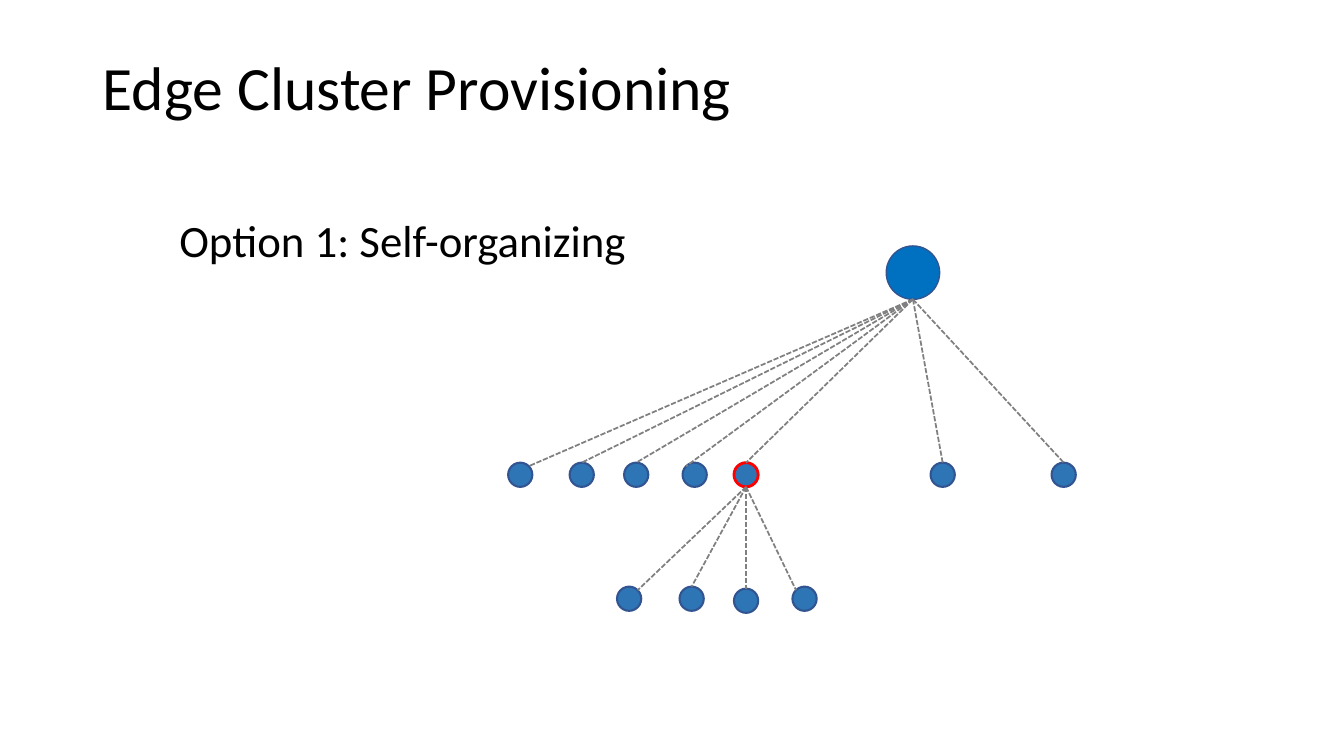
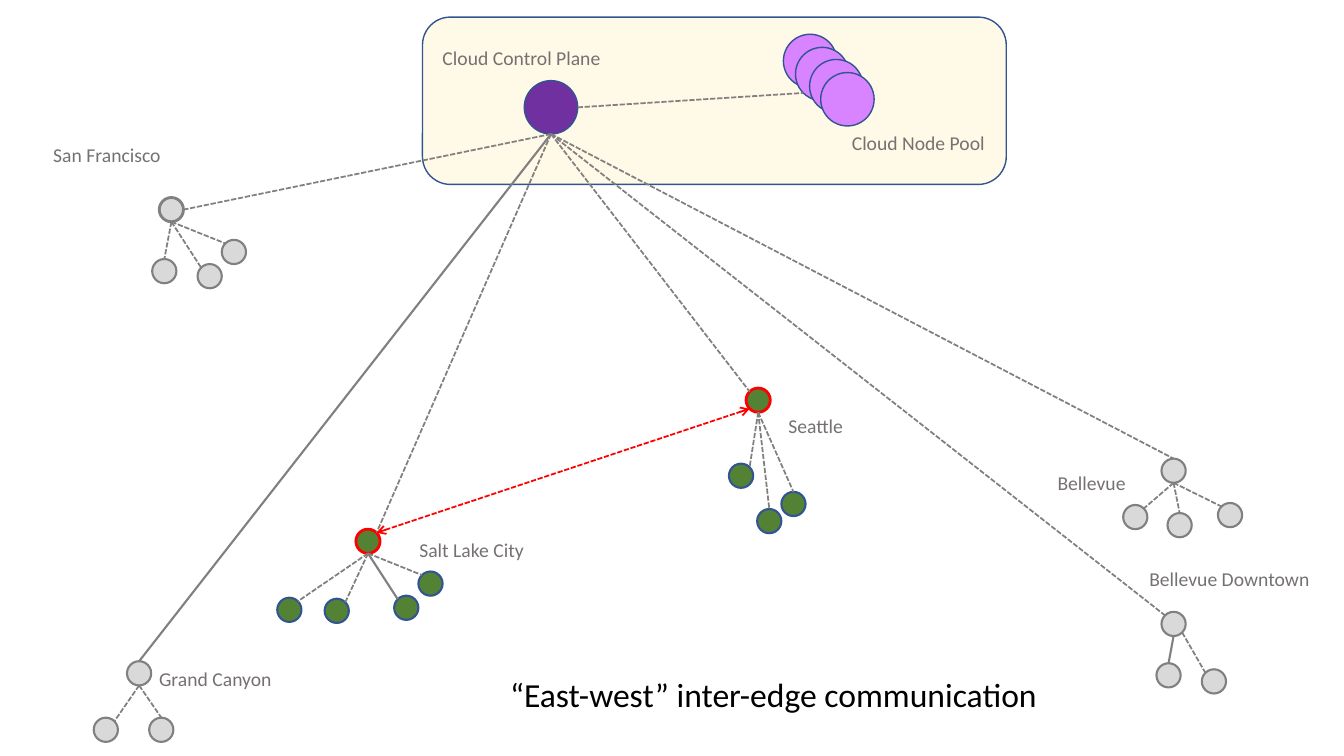
from dataclasses import dataclass
from math import sqrt

from lxml.etree import SubElement
from pptx import Presentation
from pptx.dml.color import RGBColor
from pptx.enum.dml import MSO_LINE as Dash
from pptx.enum.shapes import MSO_CONNECTOR as Connector, MSO_SHAPE as Preset
from pptx.enum.text import MSO_ANCHOR as Anchor, MSO_AUTO_SIZE as AutoSize
from pptx.oxml.ns import qn
from pptx.util import Inches, Pt


@dataclass(frozen=True)
class Theme:
    font: str = "Calibri"
    ink: str = "000000"
    label: str = "767171"
    link: str = "808080"
    outline: str = "325491"
    accent: str = "FF0000"
    cloud: str = "0070C0"
    edge: str = "2E75B6"
    idle: str = "D9D9D9"
    active: str = "548235"
    control: str = "7030A0"
    pool: str = "D883FF"
    panel: str = "FFF2CC"
    panel_alpha: int = 46
    title_size: int = 44
    heading_size: int = 32
    caption_size: int = 24
    label_size: int = 14
    thin: float = 1
    dashed: float = 1.25
    solid: float = 1.5
    bold: float = 2


THEME = Theme()
SMALL, LARGE = 0.24, 0.53
LABEL_HEIGHT = 0.34
DIAGONAL = sqrt(0.5)
SITES = {
    "top": (0, 0, -1),
    "top left": (1, -DIAGONAL, -DIAGONAL),
    "left": (2, -1, 0),
    "bottom left": (3, -DIAGONAL, DIAGONAL),
    "bottom": (4, 0, 1),
    "bottom right": (5, DIAGONAL, DIAGONAL),
    "right": (6, 1, 0),
    "top right": (7, DIAGONAL, -DIAGONAL),
}


@dataclass(frozen=True)
class Child:
    dx: float
    dy: float
    site: str = "top"
    origin: str = "bottom"
    solid: bool = False


@dataclass(frozen=True)
class City:
    name: str
    x: float
    y: float
    label: tuple
    children: tuple
    uplink: str = "top"
    solid: bool = False
    active: bool = False
    head_color: str = THEME.link
    head_width: float = THEME.solid


CITIES = (
    City("San Francisco", 1.58, 1.96, (-1.15, -0.59, 1.27),
         (Child(-0.07, 0.61), Child(0.38, 0.66, "top left"),
          Child(0.62, 0.42, "top left")),
         uplink="right", head_width=THEME.bold),
    City("Grand Canyon", 1.26, 6.56, (0.22, 0.01, 1.33),
         (Child(-0.33, 0.56, "top right"), Child(0.22, 0.56)), solid=True),
    City("Salt Lake City", 3.53, 5.25, (0.53, 0.04, 1.25),
         (Child(-0.31, 0.69, "top right"),
          Child(0.38, 0.66, "top left", solid=True),
          Child(0.62, 0.42, "top left"), Child(-0.78, 0.68, "top right")),
         uplink="top right", active=True,
         head_color=THEME.accent, head_width=THEME.bold),
    City("Seattle", 7.4, 3.85, (0.32, 0.21, 0.76),
         (Child(0.35, 1.03), Child(0.11, 1.2), Child(-0.17, 0.75, "top right")),
         uplink="top left", active=True,
         head_color=THEME.accent, head_width=THEME.bold),
    City("Bellevue", 11.52, 4.55, (-1.13, 0.07, 0.89),
         (Child(0.06, 0.54), Child(0.56, 0.44, "top left"),
          Child(-0.38, 0.46, "top right"))),
    City("Bellevue Downtown", 11.52, 6.07, (-0.22, -0.49, 1.81),
         (Child(-0.05, 0.51, solid=True),
          Child(0.4, 0.57, "top left", "bottom right")),
         uplink="top left"),
)


def rgb(color):
    return RGBColor.from_string(color)


def add_outlined(slide, preset, box, fill, color, width):
    shape = slide.shapes.add_shape(preset, *map(Inches, box))
    shape.shadow.inherit = False
    shape.fill.solid()
    shape.fill.fore_color.rgb = rgb(fill)
    shape.line.color.rgb = rgb(color)
    shape.line.width = Pt(width)
    return shape


def add_node(slide, x, y, fill, color=THEME.outline, width=THEME.solid, size=SMALL):
    return add_outlined(slide, Preset.OVAL, (x, y, size, size), fill, color, width)


def add_hub(slide, x, y, fill):
    return add_node(slide, x, y, fill, width=THEME.thin, size=LARGE)


def site_point(node, site):
    _, across, down = SITES[site]
    radius = node.width / 2
    return (round(node.left + radius * (1 + across)),
            round(node.top + radius * (1 + down)))


def add_link(slide, start, start_site, end, end_site,
             solid=False, color=THEME.link, arrows=False):
    link = slide.shapes.add_connector(
        Connector.STRAIGHT, *site_point(start, start_site), *site_point(end, end_site))
    link.line.color.rgb = rgb(color)
    link.line.width = Pt(THEME.solid if solid else THEME.dashed)
    if not solid:
        link.line.dash_style = Dash.SQUARE_DOT
    if arrows:
        for tag in ("a:headEnd", "a:tailEnd"):
            SubElement(link.line._get_or_add_ln(), qn(tag), type="arrow")
    SubElement(link._element.spPr, qn("a:effectLst"))
    glue = link._element.nvCxnSpPr.cNvCxnSpPr
    for tag, node, site in (("a:stCxn", start, start_site), ("a:endCxn", end, end_site)):
        SubElement(glue, qn(tag), id=str(node.shape_id), idx=str(SITES[site][0]))


def add_text(slide, box, wording, size, color=THEME.ink, wrap=False):
    frame = slide.shapes.add_textbox(*map(Inches, box)).text_frame
    frame.word_wrap = wrap
    frame.auto_size = AutoSize.NONE if wrap else AutoSize.SHAPE_TO_FIT_TEXT
    run = frame.paragraphs[0].add_run()
    run.text = wording
    run.font.name = THEME.font
    run.font.size = Pt(size)
    run.font.color.rgb = rgb(color)
    return frame


def add_label(slide, x, y, width, wording):
    add_text(slide, (x, y, width, LABEL_HEIGHT), wording,
             THEME.label_size, THEME.label)


def add_title(slide, box, wording):
    frame = add_text(slide, box, wording, THEME.title_size, wrap=True)
    frame.vertical_anchor = Anchor.MIDDLE
    frame.paragraphs[0].line_spacing = 0.9


def add_children(slide, head, x, y, children, fill, color=THEME.outline):
    nodes = []
    for child in children:
        node = add_node(slide, x + child.dx, y + child.dy, fill, color)
        add_link(slide, head, child.origin, node, child.site, child.solid)
        nodes.append(node)
    return nodes


def add_self_organizing_tree(slide, x, y):
    cloud = add_hub(slide, x, y, THEME.cloud)
    level = 2.15
    add_children(slide, cloud, x, y, (
        Child(-3.75, level, "top right"), Child(-3.14, level), Child(-2.6, level),
        Child(-2.02, level, "top left"), Child(0.44, level), Child(1.64, level),
    ), THEME.edge)
    head_x, head_y = x - 1.51, y + level
    head = add_node(slide, head_x, head_y, THEME.edge, THEME.accent, THEME.bold)
    add_link(slide, cloud, "bottom", head, "top")
    add_children(slide, head, head_x, head_y, (
        Child(-1.16, 1.23, "top right"), Child(-0.54, 1.23),
        Child(0, 1.25), Child(0.58, 1.23, "top left"),
    ), THEME.edge)


def add_cloud_panel(slide, x, y, width, height):
    panel = add_outlined(slide, Preset.ROUNDED_RECTANGLE, (x, y, width, height),
                         THEME.panel, THEME.outline, THEME.thin)
    tint = panel._element.spPr.find(qn("a:solidFill"))[0]
    SubElement(tint, qn("a:alpha"), val=str(THEME.panel_alpha * 1000))
    control = add_hub(slide, x + 1.01, y + 0.63, THEME.control)
    pool = [add_hub(slide, x + dx, y + dy, THEME.pool)
            for dx, dy in ((3.58, 0.17), (3.7, 0.3), (3.84, 0.42), (3.95, 0.55))]
    add_link(slide, control, "right", pool[1], "bottom left")
    add_label(slide, x + 0.1, y + 0.24, 1.79, "Cloud Control Plane")
    add_label(slide, x + 4.16, y + 1.08, 1.53, "Cloud Node Pool")
    return control


def add_city(slide, control, city):
    fill = THEME.active if city.active else THEME.idle
    color = THEME.outline if city.active else THEME.link
    head = add_node(slide, city.x, city.y, fill, city.head_color, city.head_width)
    add_link(slide, control, "bottom", head, city.uplink, city.solid)
    add_children(slide, head, city.x, city.y, city.children, fill, color)
    dx, dy, width = city.label
    add_label(slide, city.x + dx, city.y + dy, width, city.name)
    return head


def build_provisioning(slide):
    add_title(slide, (0.92, 0.4, 11.5, 0.99), "Edge Cluster Provisioning")
    add_text(slide, (1.68, 2.06, 4.68, 0.64), "Option 1: Self-organizing",
             THEME.heading_size)
    add_self_organizing_tree(slide, 8.79, 2.44)


def build_east_west(slide):
    control = add_cloud_panel(slide, 4.19, 0.17, 5.79, 1.66)
    heads = {city.name: add_city(slide, control, city) for city in CITIES}
    add_link(slide, heads["Salt Lake City"], "top right",
             heads["Seattle"], "bottom left", color=THEME.accent, arrows=True)
    add_text(slide, (4.96, 6.64, 5.48, 0.5), "“East-west” inter-edge communication",
             THEME.caption_size)


def main():
    deck = Presentation()
    deck.slide_width, deck.slide_height = Inches(13.33), Inches(7.5)
    for build in (build_provisioning, build_east_west):
        build(deck.slides.add_slide(deck.slide_layouts[6]))
    deck.save("out.pptx")


if __name__ == "__main__":
    main()
